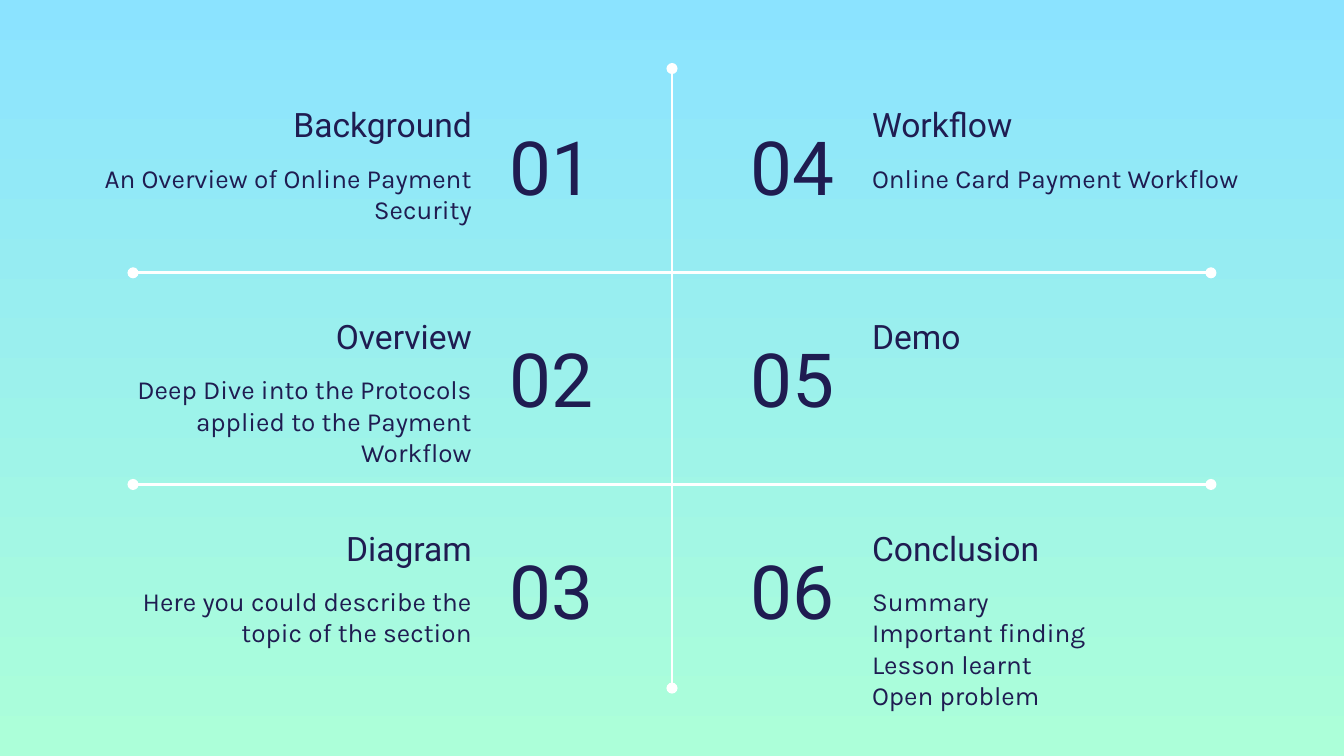
from lxml.etree import SubElement
from pptx import Presentation
from pptx.dml.color import RGBColor
from pptx.enum.shapes import MSO_CONNECTOR as Connector
from pptx.enum.text import MSO_ANCHOR as Anchor, PP_ALIGN as Align
from pptx.oxml.ns import qn
from pptx.util import Inches, Pt

WIDTH = 10
HEIGHT = WIDTH * 9 / 16
CENTER = WIDTH / 2
ROW_TOP, ROW_PITCH = HEIGHT * 0.12, HEIGHT * 0.28
TEXT_WIDTH, NUMBER_WIDTH = 2.98, 1.3
TEXT_OFFSET, NUMBER_OFFSET = 1.39, 0.01
INK, WHITE = "1F1C51", "FFFFFF"

SECTIONS = [
    [
        ("Background", ["An Overview of Online Payment Security"], TEXT_WIDTH),
        ("Overview", ["Deep Dive into the Protocols applied to the Payment Workflow"], 2.85),
        ("Diagram", ["Here you could describe the", "topic of the section"], TEXT_WIDTH),
    ],
    [
        ("Workflow", ["Online Card Payment Workflow"], TEXT_WIDTH),
        ("Demo", [], TEXT_WIDTH),
        ("Conclusion", ["Summary", "Important finding", "Lesson learnt", "Open problem"], 3.07),
    ],
]


def color(value):
    return RGBColor.from_string(value)


def paint_background(slide, top, bottom):
    fill = slide.background.fill
    fill.gradient()
    fill.gradient_angle = 270
    for stop, value in zip(fill.gradient_stops, (top, bottom)):
        stop.color.rgb = color(value)


def add_text(slide, lines, left, top, width, height, size, font, align, anchor):
    shape = slide.shapes.add_textbox(*map(Inches, (left, top, width, height)))
    frame = shape.text_frame
    frame.word_wrap = True
    frame.vertical_anchor = anchor
    frame.margin_left = frame.margin_right = Inches(0.1)
    frame.margin_top = frame.margin_bottom = Inches(0.1)
    frame.text = "\n".join(lines)
    for paragraph in frame.paragraphs:
        paragraph.alignment = align
        paragraph.font.size = Pt(size)
        paragraph.font.name = font
        paragraph.font.color.rgb = color(INK)


def add_divider(slide, *ends):
    connector = slide.shapes.add_connector(Connector.STRAIGHT, *map(Inches, ends))
    connector.line.color.rgb = color(WHITE)
    connector.line.width = Pt(1.5)
    outline = connector.line._get_or_add_ln()
    for end in ("a:headEnd", "a:tailEnd"):
        SubElement(outline, qn(end), type="oval")
    SubElement(connector._element.spPr, qn("a:effectLst"))


def add_section(slide, column, row, title, lines, body_width):
    top = ROW_TOP + row * ROW_PITCH
    number = f"{column * 3 + row + 1:02d}"
    outward, inward = (Align.LEFT, Align.RIGHT) if column else (Align.RIGHT, Align.LEFT)

    def place(offset, width):
        return CENTER + offset if column else CENTER - offset - width

    add_text(slide, [number], place(NUMBER_OFFSET, NUMBER_WIDTH), top + 0.13,
             NUMBER_WIDTH, 0.86, 40, "Roboto", inward, Anchor.MIDDLE)
    add_text(slide, [title], place(TEXT_OFFSET, TEXT_WIDTH), top,
             TEXT_WIDTH, 0.5, 18, "Roboto", outward, Anchor.BOTTOM)
    if lines:
        add_text(slide, lines, place(TEXT_OFFSET, body_width), top + 0.43,
                 body_width, max(0.69, 0.3 * len(lines)), 14, "Karla", outward, Anchor.TOP)


def main():
    presentation = Presentation()
    presentation.slide_width, presentation.slide_height = Inches(WIDTH), Inches(HEIGHT)
    slide = presentation.slides.add_slide(presentation.slide_layouts[6])
    paint_background(slide, "8BE3FF", "ACFFD9")

    add_divider(slide, CENTER, 0.51, CENTER, 5.12)
    for row in (1, 2):
        middle = ROW_TOP + row * ROW_PITCH - 0.22
        add_divider(slide, 0.99, middle, WIDTH - 0.99, middle)
    for column, sections in enumerate(SECTIONS):
        for row, section in enumerate(sections):
            add_section(slide, column, row, *section)

    presentation.save("out.pptx")


if __name__ == "__main__":
    main()
